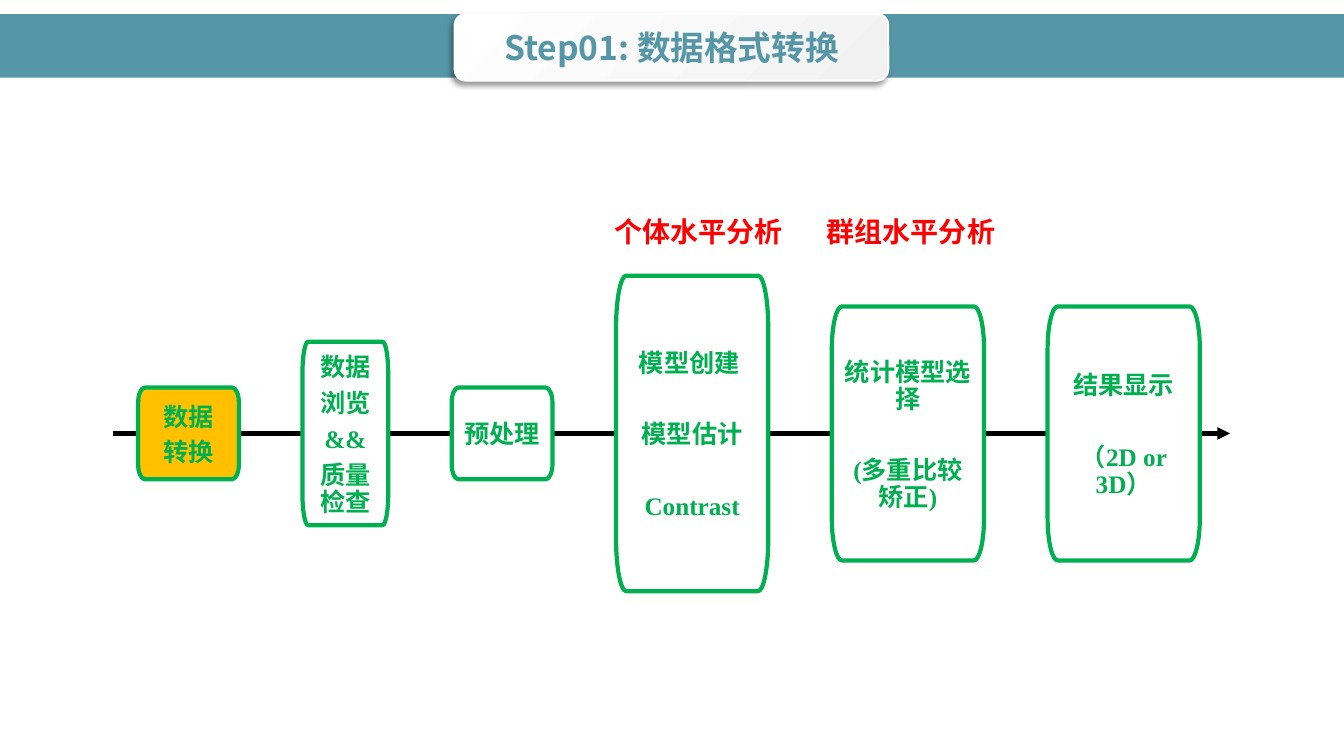
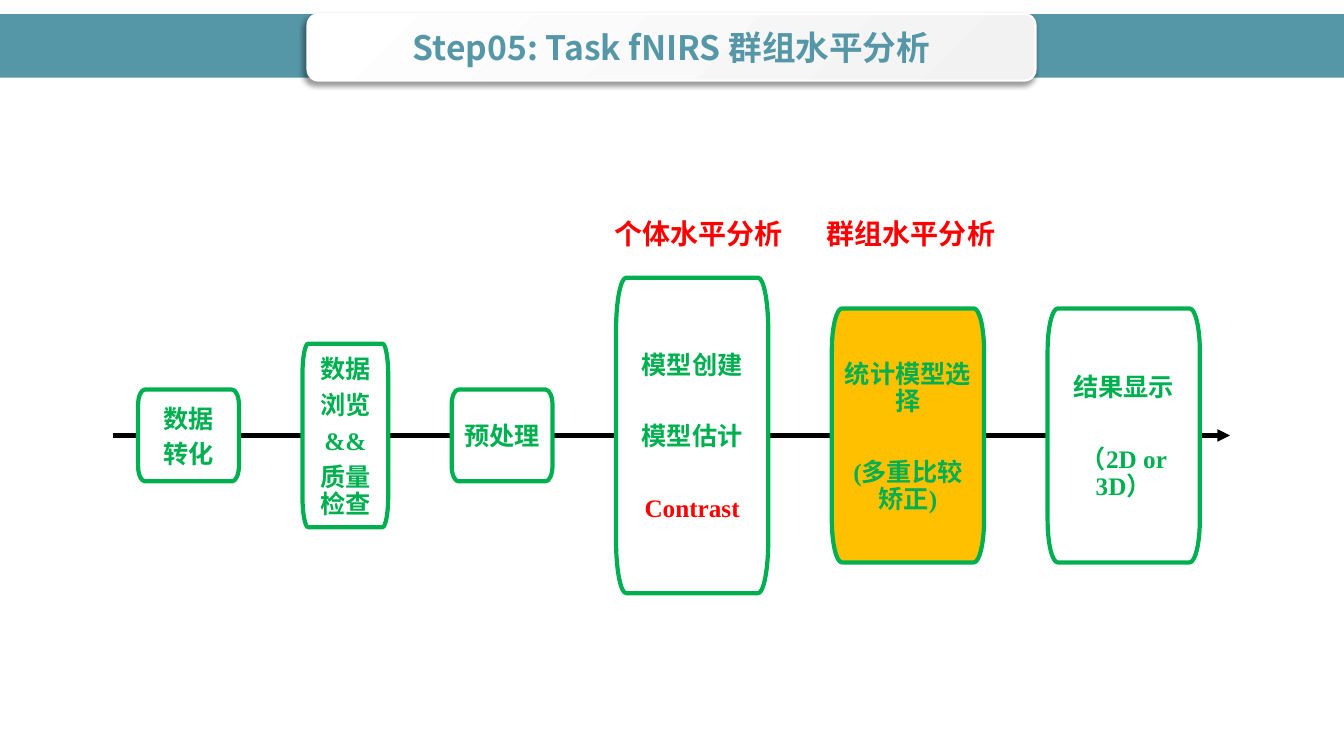
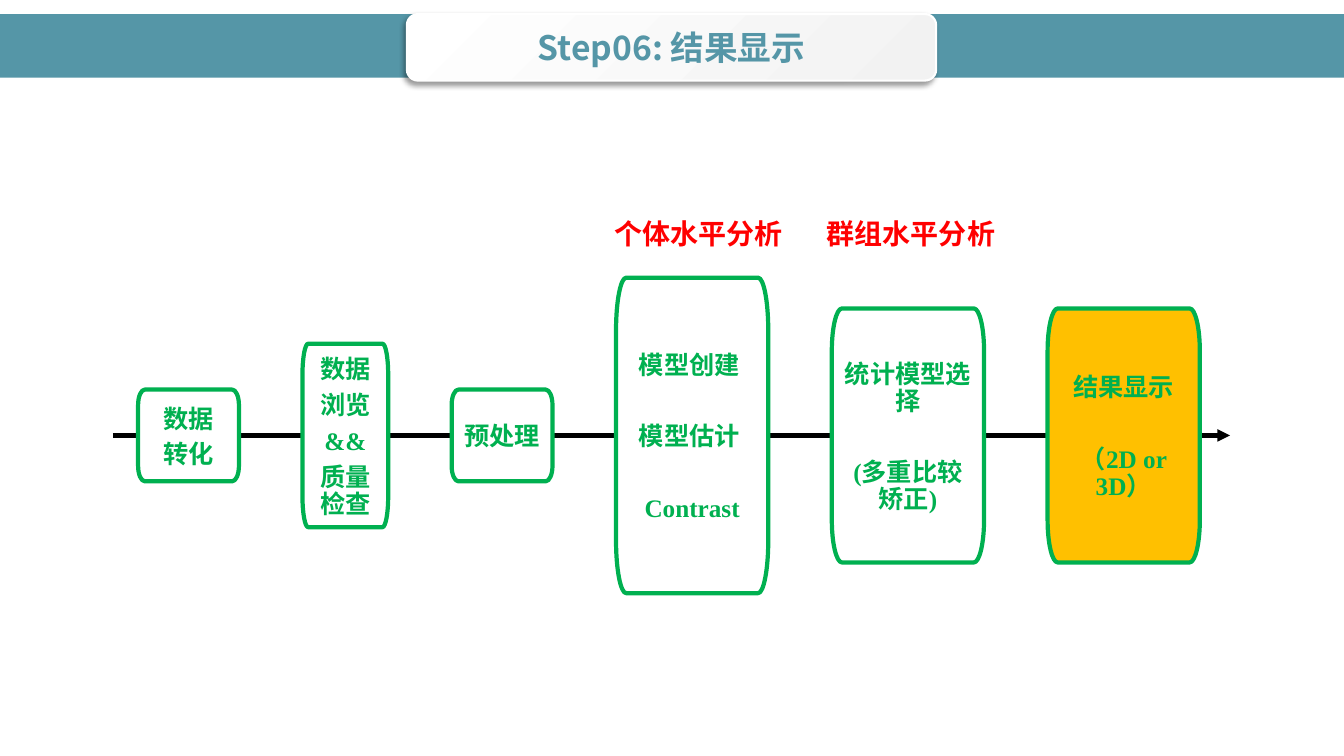
from lxml import etree
from pptx import Presentation
from pptx.dml.color import RGBColor
from pptx.enum.shapes import MSO_CONNECTOR, MSO_SHAPE
from pptx.enum.text import MSO_ANCHOR, PP_ALIGN
from pptx.oxml import parse_xml
from pptx.oxml.ns import nsdecls, qn
from pptx.util import Inches, Pt

SLIDE_W, SLIDE_H = 13.33, 7.5
TEAL, GREEN, RED, AMBER = "5596A7", "00B050", "FF0000", "FFC000"
WHITE, PALE, BLACK = "FFFFFF", "F2F2F2", "000000"
CHINESE_FONT, LATIN_FONT = "Noto Sans CJK SC", "Times New Roman"
BAND_TOP, BAND_H, TAB_H = 0.14, 0.63, 0.66
TAB_CENTER = 6.66

FLOW_LEFT, FLOW_GAP = 1.37, 0.63
ARROW_START, ARROW_END = 1.12, 12.2
STAGE_SIZES = [(1, 0.91), (0.85, 1.82), (1, 0.91), (1.51, 3.13), (1.51, 2.52), (1.51, 2.52)]
LINE_GAP, BLOCK_GAP = 6.3, 32
STAGE_GAPS = [LINE_GAP, LINE_GAP, LINE_GAP, BLOCK_GAP, BLOCK_GAP, BLOCK_GAP]
# Stage index, text and sideways shift of each heading above the flow
HEADINGS = [(3, "个体水平分析", 0.06), (4, "群组水平分析", 0.03)]
HEADING_W, HEADING_H, HEADING_RISE = 1.88, 0.44, 2.23


def color(hex_string):
    return RGBColor.from_string(hex_string)


def box(left, top, width, height):
    return [Inches(v) for v in (left, top, width, height)]


def paint(shape, fill, line=None, line_width=3):
    shape.shadow.inherit = False
    shape.fill.solid()
    shape.fill.fore_color.rgb = color(fill)
    if line:
        shape.line.color.rgb = color(line)
        shape.line.width = Pt(line_width)
    else:
        shape.line.fill.background()


def write(shape, lines, *, size, font=LATIN_FONT, ink=GREEN, inks=None,
          gap=0, pitch=None, wrap=True, margins=(0.05, 0.05)):
    """Write centred bold paragraphs; inks maps a line to its own colour."""
    frame = shape.text_frame
    frame.word_wrap = wrap
    frame.vertical_anchor = MSO_ANCHOR.MIDDLE
    frame.margin_left = frame.margin_right = Inches(0.1)
    frame.margin_top, frame.margin_bottom = [Inches(m) for m in margins]
    for index, line in enumerate(lines):
        paragraph = frame.add_paragraph() if index else frame.paragraphs[0]
        paragraph.alignment = PP_ALIGN.CENTER
        paragraph.space_after = Pt(gap)
        if pitch:
            paragraph.line_spacing = Pt(pitch)
        run = paragraph.add_run()
        run.text = line
        run.font.size, run.font.bold, run.font.name = Pt(size), True, font
        run.font.color.rgb = color((inks or {}).get(line, ink))
        east_asian = etree.SubElement(run.font._element, qn("a:ea"))
        east_asian.set("typeface", CHINESE_FONT)


def add_title(slide, title, tab_w):
    band = slide.shapes.add_shape(MSO_SHAPE.RECTANGLE, *box(0, BAND_TOP, SLIDE_W, BAND_H))
    paint(band, TEAL)

    tab_left = TAB_CENTER - tab_w / 2
    tab = slide.shapes.add_shape(
        MSO_SHAPE.ROUNDED_RECTANGLE, *box(tab_left, BAND_TOP, tab_w, TAB_H))
    paint(tab, WHITE, WHITE, 1.5)
    tab.fill.gradient()
    tab.fill.gradient_angle = 315
    for stop, shade in zip(tab.fill.gradient_stops, (WHITE, PALE)):
        stop.color.rgb = color(shade)
    tab._element.spPr.find(qn("a:effectLst")).append(parse_xml(
        f'<a:outerShdw {nsdecls("a")} blurRad="{Pt(4)}" dist="{Pt(3)}" dir="8100000" '
        f'algn="tr" rotWithShape="0"><a:srgbClr val="{BLACK}"><a:alpha val="40000"/>'
        '</a:srgbClr></a:outerShdw>'))

    caption = slide.shapes.add_textbox(*box(tab_left + 0.07, 0.22, tab_w - 0.14, 0.5))
    write(caption, [title], size=24, font=CHINESE_FONT, ink=TEAL)


def add_arrow(slide, axis):
    arrow = slide.shapes.add_connector(
        MSO_CONNECTOR.STRAIGHT, *box(ARROW_START, axis, ARROW_END, axis))
    arrow.line.color.rgb = color(BLACK)
    arrow.line.width = Pt(3)
    etree.SubElement(arrow.line._get_or_add_ln(), qn("a:tailEnd")).set("type", "triangle")
    etree.SubElement(arrow._element.spPr, qn("a:effectLst"))


def curve_corners(outline):
    """Turn the first three of every four line segments into one Bézier curve."""
    segments = list(outline._element.iter(qn("a:lnTo")))
    for start in range(0, len(segments), 4):
        first, *others = segments[start:start + 3]
        curve = etree.Element(qn("a:cubicBezTo"))
        first.addprevious(curve)
        for segment in (first, *others):
            curve.append(segment[0])
            segment.getparent().remove(segment)


def add_stage(slide, left, top, width, height):
    """Draw a box whose corners are quarter ellipses, taller than wide."""
    radius_x, radius_y, pull = width / 15, height / 6, 0.45
    right, bottom = left + width, top + height
    corners = [(left, top, 1, 1), (right, top, -1, 1),
               (right, bottom, -1, -1), (left, bottom, 1, -1)]
    points = []
    for index, (x, y, to_x, to_y) in enumerate(corners):
        dx, dy = to_x * radius_x, to_y * radius_y
        bend = [(x, y + dy), (x, y + dy * pull), (x + dx * pull, y), (x + dx, y)]
        points += reversed(bend) if index % 2 else bend
    points = [(Inches(x), Inches(y)) for x, y in points]
    builder = slide.shapes.build_freeform(*points[0])
    builder.add_line_segments(points[1:], close=True)
    outline = builder.convert_to_shape()
    curve_corners(outline)
    return outline


def add_flow(slide, axis, stages, active, inks):
    add_arrow(slide, axis)
    left, centers = FLOW_LEFT, []
    for index, (lines, (width, height), gap) in enumerate(zip(stages, STAGE_SIZES, STAGE_GAPS)):
        stage = add_stage(slide, left, axis - height / 2, width, height)
        paint(stage, AMBER if index == active else WHITE, GREEN)
        write(stage, lines, size=18, inks=inks, gap=gap, pitch=19.3, margins=(0.12, 0.08))
        centers.append(left + width / 2)
        left += width + FLOW_GAP
    for index, text, shift in HEADINGS:
        heading = slide.shapes.add_textbox(*box(
            centers[index] + shift - HEADING_W / 2, axis - HEADING_RISE, HEADING_W, HEADING_H))
        write(heading, [text], size=20, ink=RED, pitch=24, wrap=False)


def stage_texts(first, model):
    return [["数据", first], ["数据", "浏览", "&&", "质量检查"], ["预处理"], model,
            ["统计模型选择", "(多重比较矫正)"], ["结果显示", "（2D or 3D）"]]


def add_step(deck, title, tab_w, axis, stages, active, inks=None):
    slide = deck.slides.add_slide(deck.slide_layouts[6])
    add_title(slide, title, tab_w)
    add_flow(slide, axis, stages, active, inks)


def main():
    deck = Presentation()
    deck.slide_width, deck.slide_height = Inches(SLIDE_W), Inches(SLIDE_H)
    add_step(deck, "Step01: 数据格式转换", 4.3, 4.3,
             stage_texts("转换", ["模型创建 ", "模型估计", "Contrast"]), active=0)
    add_step(deck, "Step05: Task fNIRS 群组水平分析", 7.22, 4.32,
             stage_texts("转化", ["模型创建", "模型估计", "Contrast"]), active=4,
             inks={"Contrast": RED})
    add_step(deck, "Step06: 结果显示", 5.25, 4.32,
             stage_texts("转化", ["模型创建 ", "模型估计 ", "Contrast"]), active=5)
    deck.save("out.pptx")


if __name__ == "__main__":
    main()
